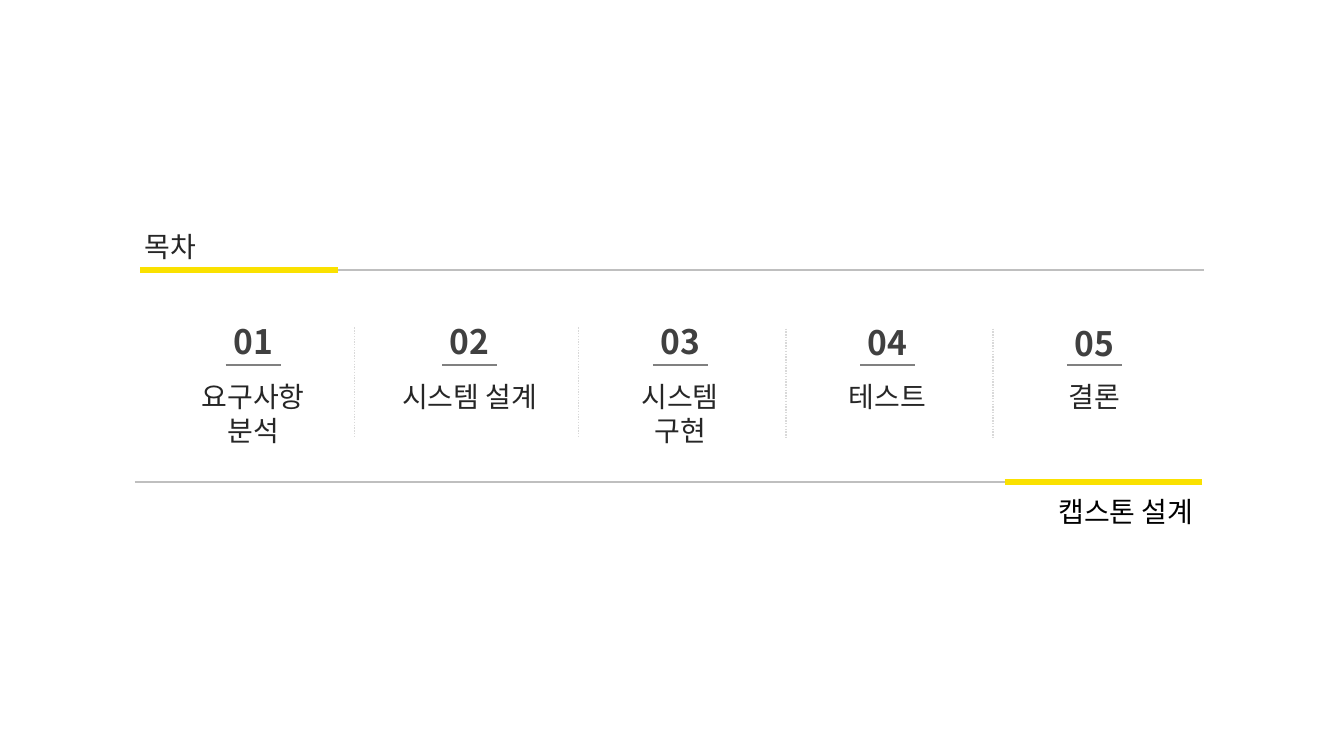
from lxml import etree
from pptx import Presentation
from pptx.dml.color import RGBColor
from pptx.enum.dml import MSO_LINE
from pptx.enum.shapes import MSO_CONNECTOR
from pptx.enum.text import MSO_AUTO_SIZE, PP_ALIGN
from pptx.oxml.ns import qn
from pptx.util import Cm, Pt

LEFT, MID, RIGHT = PP_ALIGN.LEFT, PP_ALIGN.CENTER, PP_ALIGN.RIGHT
GROW = MSO_AUTO_SIZE.SHAPE_TO_FIT_TEXT
LINE, DOTS = MSO_CONNECTOR.STRAIGHT, MSO_LINE.ROUND_DOT
FONT = "Noto Sans CJK KR"
HUE = {
    "rule": "BFBFBF", "mark": "FAE100", "dots": "D9D9D9", "under": "808080",
    "num": "404040", "text": "262626", "foot": "000000",
}
RULE, MARK = 24.23, 4.98  # lengths of the grey rule and its yellow mark

# number, label, centre, label width, number top, divider (x, top), all in cm
ITEMS = [
    ("01", "요구사항 분석", 6.38, 4.34, 0, (8.94, 0.3)),
    ("02", "시스템 설계", 11.84, 4.01, 0, (14.58, 0.3)),
    ("03", "시스템 구현", 17.14, 3.78, 0, (19.81, 0.33)),
    ("04", "테스트", 22.37, 2.49, 0.03, (25.02, 0.33)),
    ("05", "결론", 27.58, 2.49, 0.05, None),
]


def draw(slide, x1, y1, x2, y2, hue, size):
    line = slide.shapes.add_connector(LINE, Cm(x1), Cm(y1), Cm(x2), Cm(y2))
    line.line.color.rgb = RGBColor.from_string(HUE[hue])
    line.line.width = Pt(size)
    etree.SubElement(line._element.spPr, qn("a:effectLst"))
    return line


def write(slide, x, y, w, h, text, hue, size=20, align=LEFT, bold=False):
    box = slide.shapes.add_textbox(Cm(x), Cm(y), Cm(w), Cm(h))
    frame = box.text_frame
    frame.word_wrap = True
    frame.auto_size = GROW
    frame.text = text
    para = frame.paragraphs[0]
    para.alignment = align
    run = para.runs[0]
    run.font.name = FONT
    run.font.size = Pt(size)
    run.font.bold = bold
    run.font.color.rgb = RGBColor.from_string(HUE[hue])
    # Korean glyphs use the East Asian font slot
    etree.SubElement(run.font._element, qn("a:ea"), typeface=FONT)


def head(slide, x, y, w):
    """Title above a rule marked at its left end."""
    draw(slide, x + w - RULE, y, x + w, y, "rule", 1.5)
    draw(slide, x, y, x + MARK, y, "mark", 4.5)
    write(slide, x - 0.13, y - 1.15, 4.7, 1.12, "목차", "text")


def foot(slide, x, y, w):
    """Course name below a rule marked at its right end."""
    draw(slide, x, y, x + RULE, y, "rule", 1.5)
    draw(slide, x + w - MARK, y, x + w, y, "mark", 4.5)
    write(slide, x + w - 3.96, y + 0.2, 3.99, 1.12, "캡스톤 설계", "foot",
          align=RIGHT)


def item(slide, mid, y, num, label, w, drop):
    """Number, underline and label, centred on one axis."""
    write(slide, mid - 0.95, y + drop, 1.9, 1.27, num, "num", 24, MID, True)
    draw(slide, mid - 0.69, y + 1.25, mid + 0.69, y + 1.25, "under", 1)
    write(slide, mid - w / 2, y + 1.5, w, 1.12, label, "text", align=MID)


def agenda(slide, y):
    """Five items parted by dotted lines."""
    for num, label, mid, w, drop, split in ITEMS:
        item(slide, mid, y, num, label, w, drop)
        if split:
            x, top = split
            line = draw(slide, x, y + top, x, y + top + 2.75, "dots", 1)
            line.line.dash_style = DOTS


def main():
    deck = Presentation()
    deck.slide_width, deck.slide_height = Cm(33.87), Cm(19.05)
    slide = deck.slides.add_slide(deck.slide_layouts[6])
    head(slide, 3.53, 6.81, 26.8)
    agenda(slide, 7.95)
    foot(slide, 3.4, 12.14, 26.9)
    deck.save("out.pptx")


if __name__ == "__main__":
    main()
